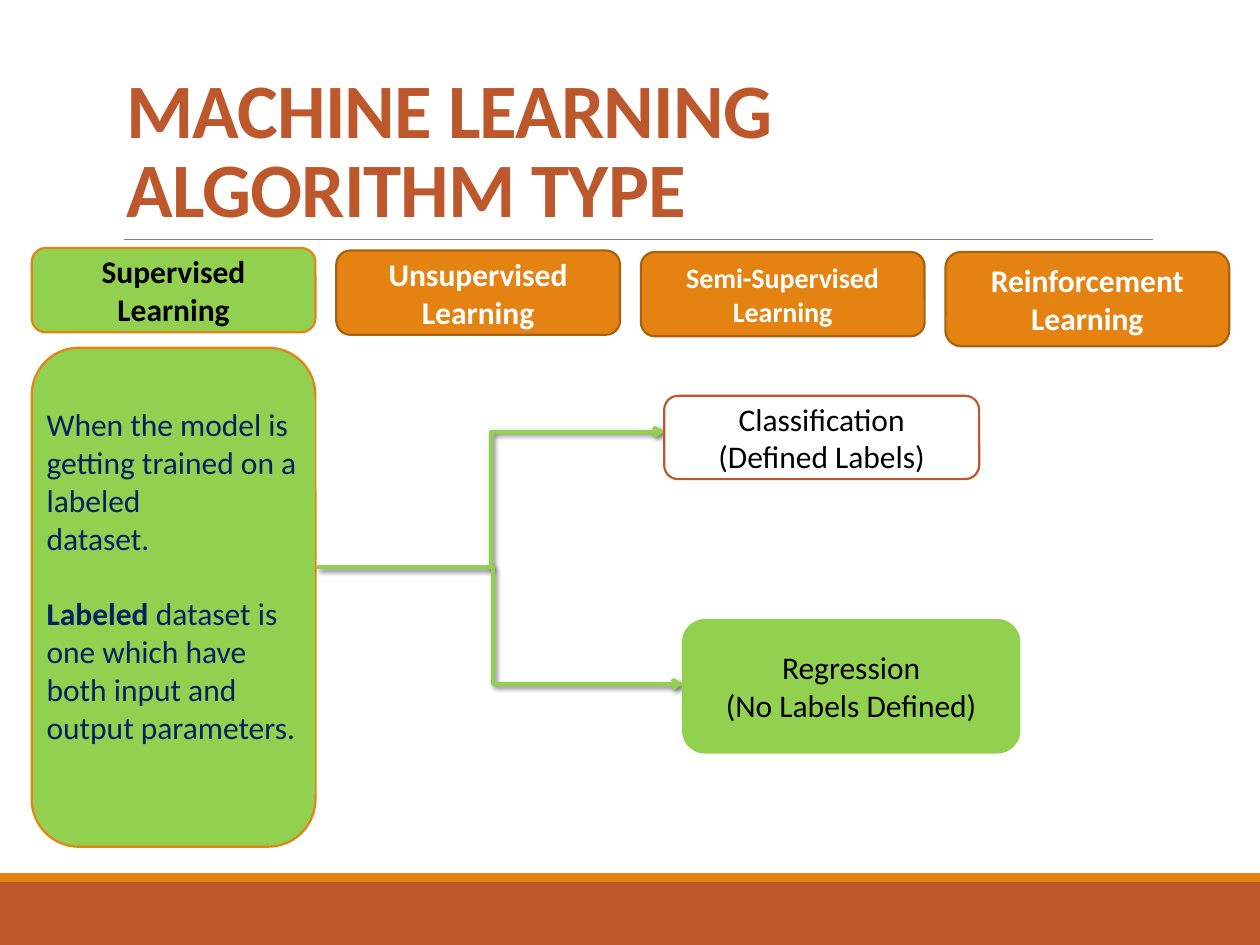
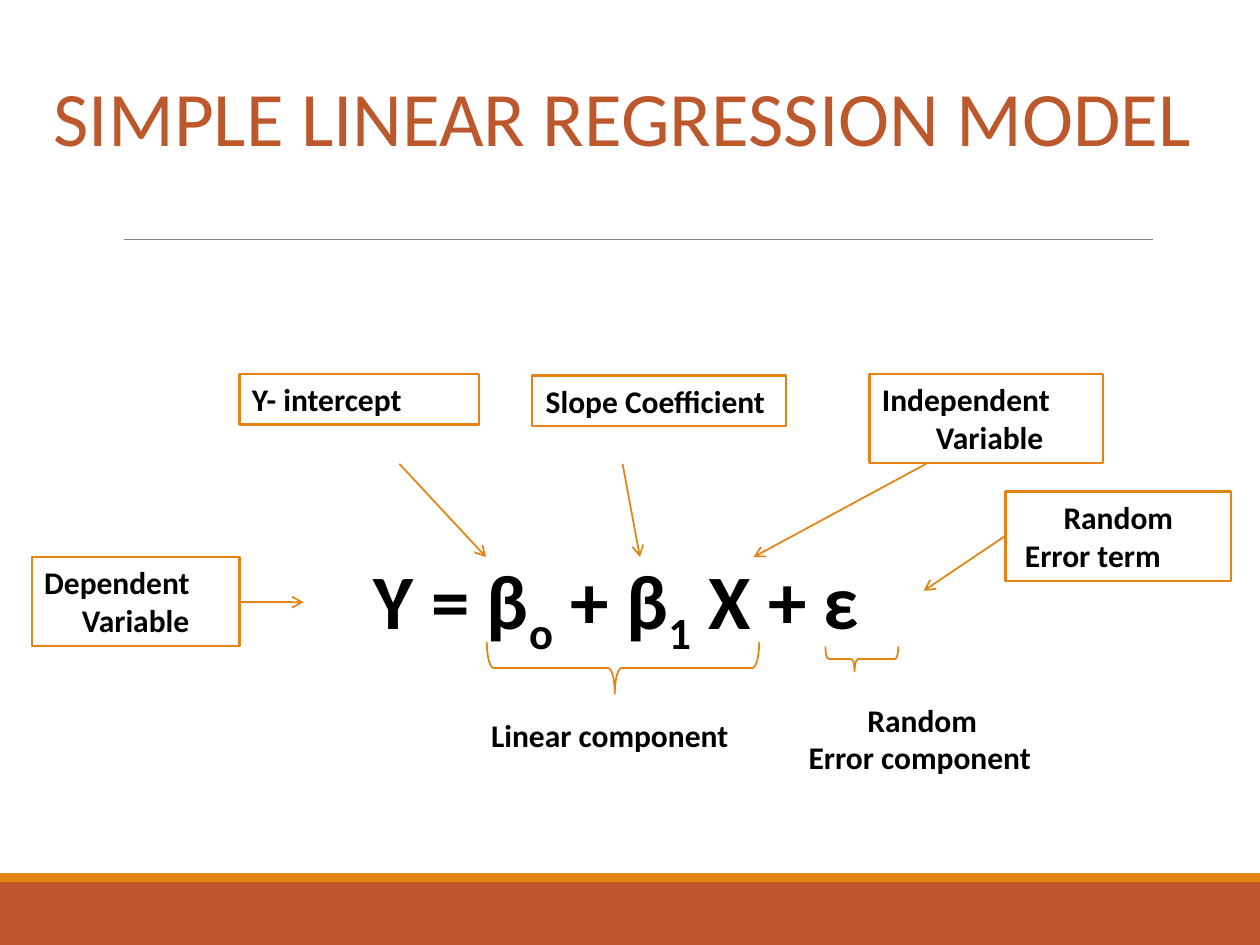
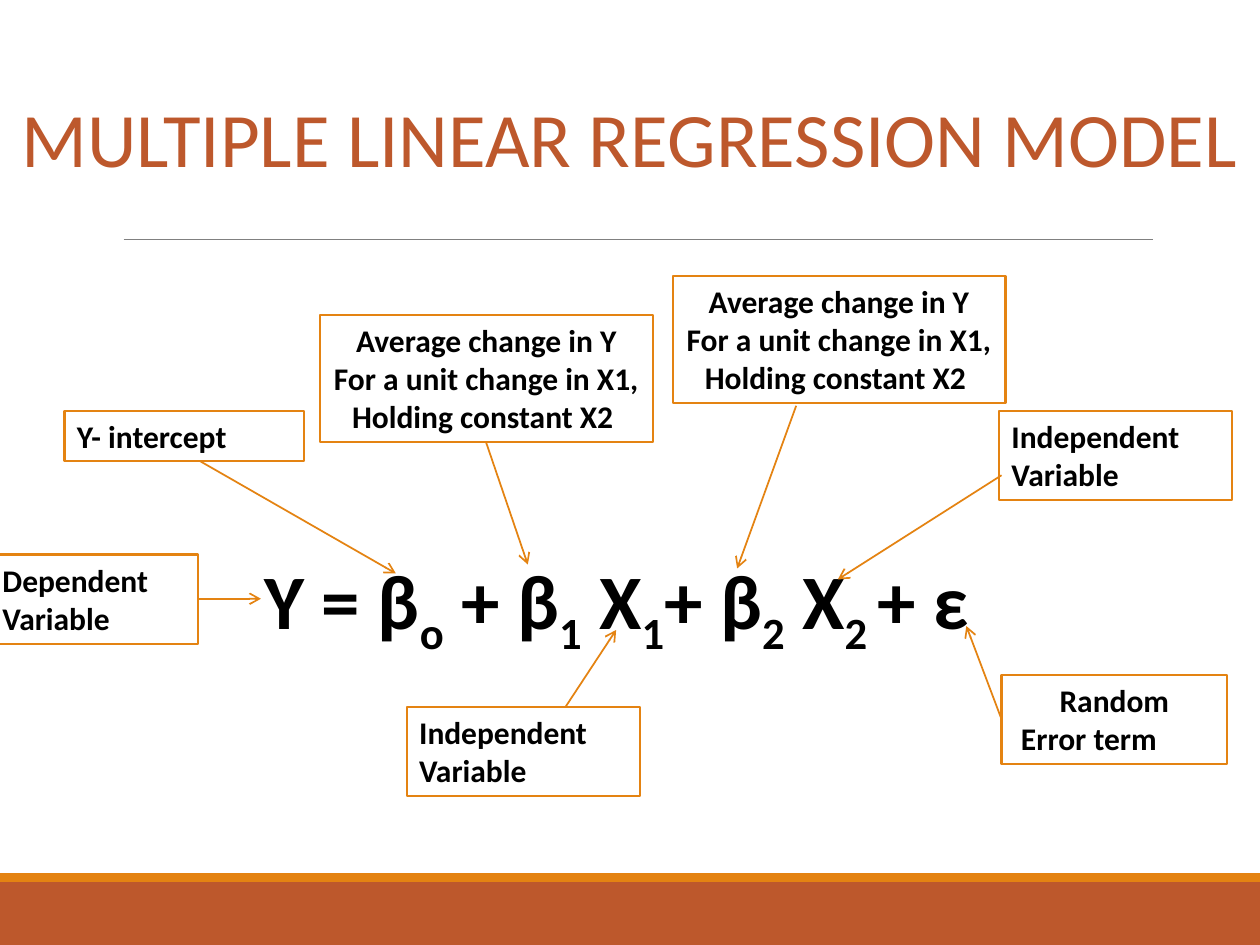
import itertools

import lxml.etree
import pptx
import pptx.dml.color
import pptx.enum.shapes
import pptx.enum.text
import pptx.oxml.ns
import pptx.util

RUST = "BD582C"
ORANGE = "E48312"
DARK_ORANGE = "A9610D"
GREEN = "92D050"
NAVY = "002060"
GREY = "808080"
BLACK = "000000"
WHITE = "FFFFFF"

SHAPES = pptx.enum.shapes.MSO_SHAPE
CONNECTORS = pptx.enum.shapes.MSO_CONNECTOR
ANCHORS = pptx.enum.text.MSO_ANCHOR
ALIGNMENTS = {"l": pptx.enum.text.PP_ALIGN.LEFT, "c": pptx.enum.text.PP_ALIGN.CENTER}


def color(value):
    return pptx.dml.color.RGBColor.from_string(value)


def lengths(*values):
    return [pptx.util.Cm(value) for value in values]


def add_element(parent, tag, **attributes):
    element = lxml.etree.SubElement(parent, pptx.oxml.ns.qn(tag))
    for name, value in attributes.items():
        element.set(name, str(value))
    return element


class Deck:
    font = "Calibri"

    def __init__(self):
        self.presentation = pptx.Presentation()
        self.presentation.slide_width, self.presentation.slide_height = lengths(25.4, 19.05)
        self.layout = self.presentation.slide_layouts[5]
        self.slide = None

    def add_slide(self):
        self.slide = self.presentation.slides.add_slide(self.layout)

    def decorate_layout(self):
        decorations = [
            self.box((0, 17.78, 25.4, 1.27), fill=RUST),
            self.box((0, 17.6, 25.4, 0.18), fill=ORANGE),
            self.line((2.49, 4.83), (23.24, 4.83), GREY, 0.5),
        ]
        for decoration in decorations:
            self.layout.shapes.element.append(decoration.element)

    def fill_text(self, shape, lines, align="l", size=18, ink=BLACK, bold=False,
                  anchor=ANCHORS.TOP, wrap=True):
        frame = shape.text_frame
        frame.auto_size = pptx.enum.text.MSO_AUTO_SIZE.NONE
        frame.word_wrap = wrap
        frame.vertical_anchor = anchor
        for index, (line, side) in enumerate(zip(lines, itertools.cycle(align))):
            paragraph = frame.add_paragraph() if index else frame.paragraphs[0]
            paragraph.alignment = ALIGNMENTS[side]
            for text, options in [(line, {})] if isinstance(line, str) else line:
                run = paragraph.add_run()
                run.text = text
                run.font.name = self.font
                run.font.size = pptx.util.Pt(size)
                run.font.bold = options.get("bold", bold)
                run.font.color.rgb = color(ink)
                if options.get("subscript"):
                    run._r.get_or_add_rPr().set("baseline", "-25000")
        return frame

    def title(self, text, place, **style):
        shape = self.slide.shapes.title
        shape.left, shape.top, shape.width, shape.height = lengths(*place)
        return self.fill_text(shape, [text], size=44, ink=RUST, **style)

    def box(self, place, lines=(), kind=SHAPES.RECTANGLE, fill=None, border=None,
            border_width=1.25, **style):
        shape = self.slide.shapes.add_shape(kind, *lengths(*place))
        shape.shadow.inherit = False
        if fill:
            shape.fill.solid()
            shape.fill.fore_color.rgb = color(fill)
        else:
            shape.fill.background()
        if border:
            shape.line.color.rgb = color(border)
            shape.line.width = pptx.util.Pt(border_width)
        else:
            shape.line.fill.background()
        if lines:
            self.fill_text(shape, lines, **style)
        return shape

    def rounded(self, place, lines=(), **style):
        return self.box(place, lines, SHAPES.ROUNDED_RECTANGLE, align="c",
                        anchor=ANCHORS.MIDDLE, **style)

    def label(self, place, lines, **style):
        self.box(place, lines, fill=WHITE, border=ORANGE, bold=True, **style)

    def text(self, place, lines, **style):
        shape = self.slide.shapes.add_textbox(*lengths(*place))
        self.fill_text(shape, lines, bold=True, **style)

    def equation(self, *parts):
        runs = [(part, {"subscript": index % 2 == 1}) for index, part in enumerate(parts)]
        self.text((3.12, 11.02, 18.62, 4.01), [runs], align="c", size=44)

    def brace(self, place, point):
        shape = self.box(place, kind=SHAPES.LEFT_BRACE, border=ORANGE, border_width=1)
        shape.adjustments[0] = 0.13
        shape.adjustments[1] = point
        shape.rotation = 270

    def line(self, start, end, ink=ORANGE, width=1, kind=CONNECTORS.STRAIGHT):
        connector = self.slide.shapes.add_connector(kind, *lengths(*start, *end))
        connector.line.color.rgb = color(ink)
        connector.line.width = pptx.util.Pt(width)
        add_element(connector.element.spPr, "a:effectLst")
        return connector

    def arrow(self, start, end, **style):
        connector = self.line(start, end, **style)
        outline = connector.element.spPr.find(pptx.oxml.ns.qn("a:ln"))
        add_element(outline, "a:tailEnd", type="arrow")
        return connector

    def elbow_arrow(self, start, end, bend):
        connector = self.arrow(start, end, ink=GREEN, width=2, kind=CONNECTORS.ELBOW)
        properties = connector.element.spPr
        adjustments = next(properties.iter(pptx.oxml.ns.qn("a:avLst")))
        add_element(adjustments, "a:gd", name="adj1", fmla=f"val {round(bend * 100000)}")
        effects = properties.find(pptx.oxml.ns.qn("a:effectLst"))
        shadow = add_element(effects, "a:outerShdw", blurRad=pptx.util.Pt(3),
                             dist=pptx.util.Pt(2), dir=2700000, rotWithShape=0)
        shade = add_element(shadow, "a:srgbClr", val=BLACK)
        add_element(shade, "a:alpha", val=60000)


def algorithm_types(deck):
    deck.add_slide()
    deck.decorate_layout()
    frame = deck.title("MACHINE LEARNING ALGORITHM TYPE", (2.29, 0.79, 20.96, 4.04),
                       bold=True, anchor=ANCHORS.BOTTOM)
    frame.paragraphs[0].line_spacing = 0.85
    frame.paragraphs[0].runs[0]._r.get_or_add_rPr().set("spc", "-50")

    selected = {"fill": GREEN, "border": ORANGE, "ink": BLACK}
    other = {"fill": ORANGE, "border": DARK_ORANGE, "ink": WHITE}
    headers = [
        (["Supervised Learning"], 5, 1.7, 18, selected),
        (["Unsupervised Learning"], 5.05, 1.7, 18, other),
        (["Semi-Supervised Learning"], 5.08, 1.7, 16, other),
        (["Reinforcement", "Learning"], 5.08, 1.9, 18, other),
    ]
    for column, (lines, top, height, size, style) in enumerate(headers):
        deck.rounded((0.64 + 6.14 * column, top, 5.72, height), lines,
                     size=size, bold=True, **style)

    deck.rounded((0.64, 7.01, 5.72, 10.06), fill=GREEN, border=ORANGE)
    definition = deck.box((0.69, 8.05, 5.66, 7.95), [
        "When the model is getting trained on a labeled",
        "dataset.",
        [("Labeled", {"bold": True}),
         (" dataset is one which have both input and output parameters.", {})],
    ], fill=GREEN, ink=NAVY)
    definition.text_frame.paragraphs[2].space_before = pptx.util.Pt(21.6)

    deck.elbow_arrow((6.4, 11.43), (13.39, 8.71), 0.5)
    deck.elbow_arrow((9.86, 11.43), (13.77, 13.79), 0.02)
    deck.rounded((13.39, 7.98, 6.35, 1.68), ["Classification", "(Defined Labels)"],
                 fill=WHITE, border=RUST)
    deck.rounded((13.77, 12.5, 6.78, 2.67), ["Regression", "(No Labels Defined)"],
                 fill=GREEN, border=GREEN)


def simple_regression(deck):
    deck.add_slide()
    deck.title("SIMPLE LINEAR REGRESSION MODEL", (0.48, 1.27, 24.16, 2.13),
               align="c", wrap=False)
    deck.equation("Y = β", "o", " + β", "1", " X + ε")
    deck.label((0.64, 11.23, 4.19, 1.8), ["Dependent", "Variable"], align="lc")
    deck.label((4.83, 7.54, 4.83, 1.02), ["Y- intercept"])
    deck.label((10.72, 7.57, 5.13, 1.02), ["Slope Coefficient "], align="c", wrap=False)
    deck.label((17.53, 7.54, 4.7, 1.8), ["Independent", " Variable"], align="lc")
    deck.label((20.27, 9.91, 4.55, 1.8), ["Random", " Error term"], align="cl")
    deck.brace((12.04, 10.72, 1.04, 5.49), 0.47)
    deck.text((9.65, 14.3, 5.51, 1.02), ["Linear component"], wrap=False)
    deck.brace((17.12, 12.55, 0.51, 1.47), 0.4)
    deck.text((16.05, 14, 5.23, 1.8), ["Random ", "Error component"], align="cl", wrap=False)
    for start, end in [
        ((4.83, 12.14), (6.12, 12.14)),
        ((8.05, 9.35), (9.8, 11.23)),
        ((12.55, 9.35), (12.9, 11.23)),
        ((18.67, 9.35), (15.19, 11.23)),
        ((20.27, 10.8), (18.62, 11.91)),
    ]:
        deck.arrow(start, end)


def multiple_regression(deck):
    deck.add_slide()
    deck.title("MULTIPLE LINEAR REGRESSION MODEL", (-0.18, 1.7, 25.76, 2.13),
               align="c", wrap=False)
    deck.equation("Y = β", "o", " + β", "1", " X", "1", "+ β", "2", " X", "2 ", "+ ε")
    deck.label((-0.2, 11.18, 4.19, 1.8), ["Dependent Variable"])
    deck.label((1.3, 8.28, 4.83, 1.02), ["Y- intercept"])
    for left, top in [(6.45, 6.35), (13.56, 5.56)]:
        deck.label((left, top, 6.71, 2.57),
                   ["Average change in Y", "For a unit change in X1,", "Holding constant X2 "],
                   align="c", wrap=False)
    for left, top in [(20.14, 8.28), (8.2, 14.25)]:
        deck.label((left, top, 4.7, 1.8), ["Independent Variable"])
    deck.label((20.19, 13.61, 4.55, 1.8), ["Random", " Error term"], align="cl")
    for start, end in [
        ((3.99, 12.07), (5.26, 12.07)),
        ((4.04, 9.3), (7.98, 11.56)),
        ((9.8, 8.92), (10.64, 11.38)),
        ((16.05, 8.18), (14.86, 11.46)),
        ((20.19, 14.5), (19.48, 12.62)),
        ((20.19, 9.58), (16.89, 11.68)),
        ((11.4, 14.25), (12.42, 12.7)),
    ]:
        deck.arrow(start, end)


def main():
    deck = Deck()
    algorithm_types(deck)
    simple_regression(deck)
    multiple_regression(deck)
    deck.presentation.save("out.pptx")


if __name__ == "__main__":
    main()
